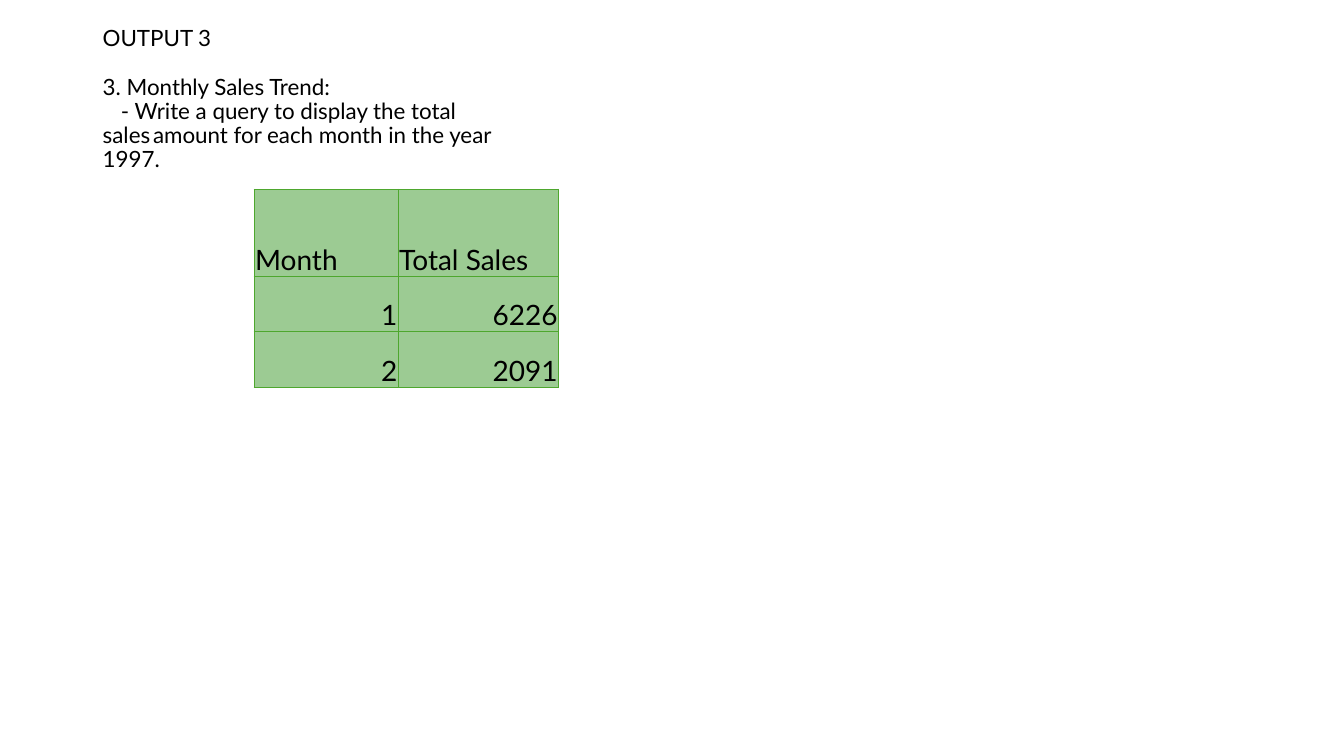
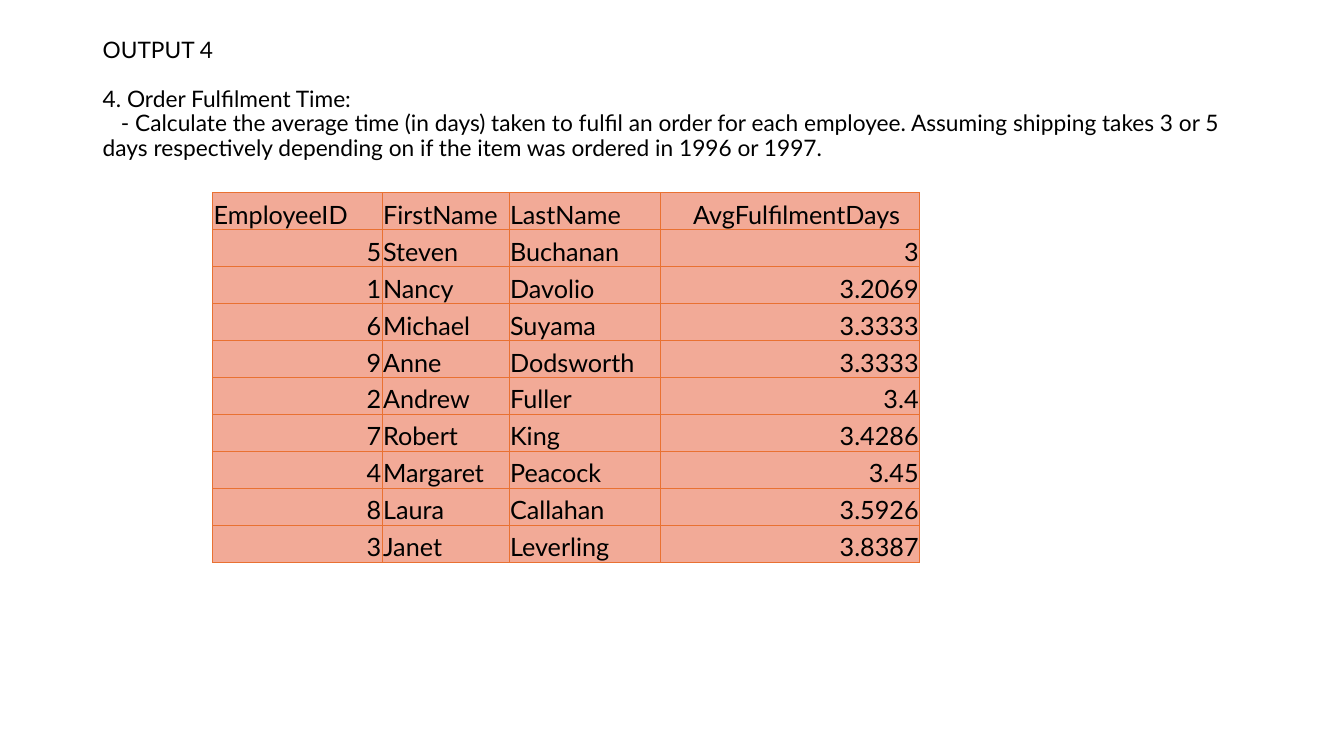
from dataclasses import dataclass

from lxml import etree
from pptx import Presentation
from pptx.dml.color import RGBColor
from pptx.enum import text as t
from pptx.oxml import ns
from pptx.util import Pt

# Shared style
FONT = "Lato"
BLACK = RGBColor(0x00, 0x00, 0x00)
GREEN = RGBColor(0x4E, 0xA7, 0x2E)
MINT = RGBColor(0x9C, 0xCB, 0x93)
ORANGE = RGBColor(0xE9, 0x71, 0x32)
PEACH = RGBColor(0xF2, 0xAA, 0x97)
LEFT, TOP, HIGH = 66.2, 28.8, 104.4
INDENT = 13
FRAME = dict(word_wrap=True, auto_size=t.MSO_AUTO_SIZE.NONE,
             vertical_anchor=t.MSO_ANCHOR.MIDDLE, margin_left=Pt(7.2),
             margin_right=Pt(7.2), margin_top=Pt(3.6), margin_bottom=Pt(22.8))
CELL = dict(vertical_anchor=t.MSO_ANCHOR.BOTTOM, margin_left=Pt(0.7),
            margin_right=Pt(0.7), margin_top=Pt(0.7), margin_bottom=Pt(0))


@dataclass
class Title:
    lines: tuple[str, str, str]
    width: float
    size: float
    tab: float = 0


@dataclass
class Grid:
    left: float
    top: float
    cols: list[float]
    rows: list[float]
    cells: list[tuple[str, ...]]
    size: float
    fill: RGBColor
    edge: RGBColor
    inset: float = 0.7  # left margin of the last heading


@dataclass
class Page:
    title: Title
    grid: Grid


PAGES = [
    Page(
        Title(("OUTPUT 3", "3. Monthly Sales Trend:",
               "- Write a query to display the total sales\tamount "
               "for each month in the year 1997."), 298, 16, tab=50.7),
        Grid(181.5, 135.4, [103, 114.5], [62, 39.6, 39.6],
             [("Month", "Total Sales"), ("1", "6226"), ("2", "2091")],
             20, MINT, GREEN),
    ),
    Page(
        Title(("OUTPUT 4", "4. Order Fulfilment Time:",
               "- Calculate the average time (in days) taken to fulfil an "
               "order for each employee. Assuming shipping takes 3 or 5 days "
               "respectively depending on if the item was ordered in 1996 "
               "or 1997."), 828, 16.2),
        Grid(152, 137.6, [121, 90.7, 108, 185.2], [26.4] * 10,
             [("EmployeeID", "FirstName", "LastName", "AvgFulfilmentDays"),
              ("5", "Steven", "Buchanan", "3"),
              ("1", "Nancy", "Davolio", "3.2069"),
              ("6", "Michael", "Suyama", "3.3333"),
              ("9", "Anne", "Dodsworth", "3.3333"),
              ("2", "Andrew", "Fuller", "3.4"),
              ("7", "Robert", "King", "3.4286"),
              ("4", "Margaret", "Peacock", "3.45"),
              ("8", "Laura", "Callahan", "3.5926"),
              ("3", "Janet", "Leverling", "3.8387")],
             18, PEACH, ORANGE, inset=23.5),
    ),
]


def apply(item, form: dict) -> None:
    for key, val in form.items():
        setattr(item, key, val)


def write(para, words: str, size: float) -> None:
    run = para.add_run()
    run.text = words
    apply(run.font, dict(name=FONT, size=Pt(size), bold=False))
    run.font.color.rgb = BLACK


def draw_title(slide, title: Title) -> None:
    shape = slide.shapes.title
    apply(shape, dict(left=Pt(LEFT), top=Pt(TOP),
                      width=Pt(title.width), height=Pt(HIGH)))
    frame = shape.text_frame
    apply(frame, FRAME)
    for i, line in enumerate(title.lines):
        para = frame.add_paragraph() if i else frame.paragraphs[0]
        # One line of space parts the heading from the task
        gap = Pt(round(title.size * 1.08, 1)) if i == 1 else Pt(0)
        apply(para, dict(alignment=t.PP_ALIGN.LEFT, line_spacing=0.9,
                         space_before=gap, space_after=Pt(0)))
        write(para, line, title.size)
    # First-line indent and tab stop of the task
    props = para._p.get_or_add_pPr()
    props.set("marL", "0")
    props.set("indent", str(Pt(INDENT)))
    if title.tab:
        tabs = etree.SubElement(props, ns.qn("a:tabLst"))
        etree.SubElement(tabs, ns.qn("a:tab"), pos=str(Pt(title.tab)), algn="l")


def add_edges(cell, color: RGBColor) -> None:
    props = cell._tc.get_or_add_tcPr()
    for i, side in enumerate(("lnL", "lnR", "lnT", "lnB")):
        line = etree.Element(ns.qn(f"a:{side}"), w=str(Pt(1)))
        fill = etree.SubElement(line, ns.qn("a:solidFill"))
        etree.SubElement(fill, ns.qn("a:srgbClr"), val=str(color))
        props.insert(i, line)


def draw_grid(slide, grid: Grid) -> None:
    table = slide.shapes.add_table(
        len(grid.rows), len(grid.cols), Pt(grid.left), Pt(grid.top),
        Pt(sum(grid.cols)), Pt(sum(grid.rows))).table
    apply(table, dict(first_row=False, horz_banding=False))
    for col, width in zip(table.columns, grid.cols):
        col.width = Pt(width)
    for row, high, words in zip(table.rows, grid.rows, grid.cells):
        row.height = Pt(high)
        for cell, word in zip(row.cells, words):
            apply(cell, CELL)
            cell.fill.solid()
            cell.fill.fore_color.rgb = grid.fill
            add_edges(cell, grid.edge)
            para = cell.text_frame.paragraphs[0]
            # Numbers stand on the right
            para.alignment = (t.PP_ALIGN.RIGHT if word[0].isdigit()
                              else t.PP_ALIGN.LEFT)
            write(para, word, grid.size)
    table.cell(0, len(grid.cols) - 1).margin_left = Pt(grid.inset)


def main() -> None:
    deck = Presentation()
    apply(deck, dict(slide_width=Pt(960), slide_height=Pt(540)))
    for page in PAGES:
        slide = deck.slides.add_slide(deck.slide_layouts[5])
        draw_title(slide, page.title)
        draw_grid(slide, page.grid)
    deck.save("out.pptx")


if __name__ == "__main__":
    main()
